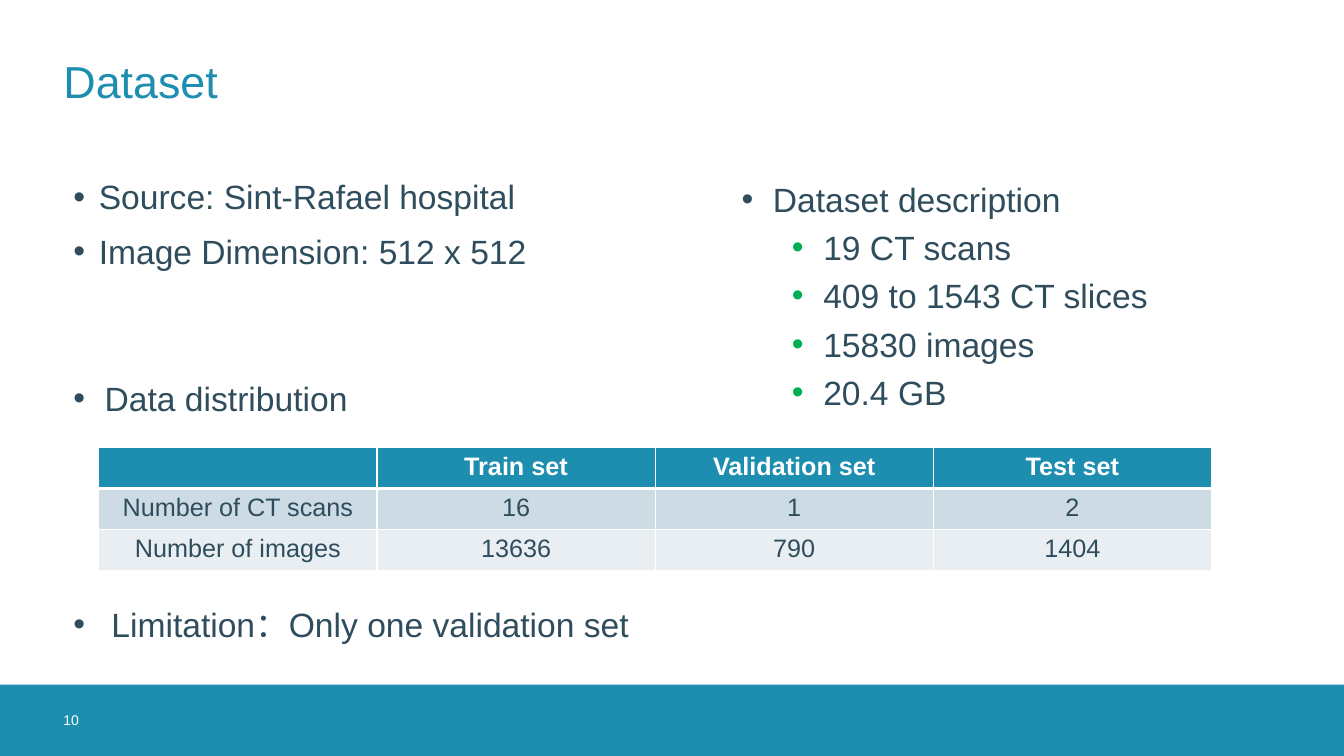
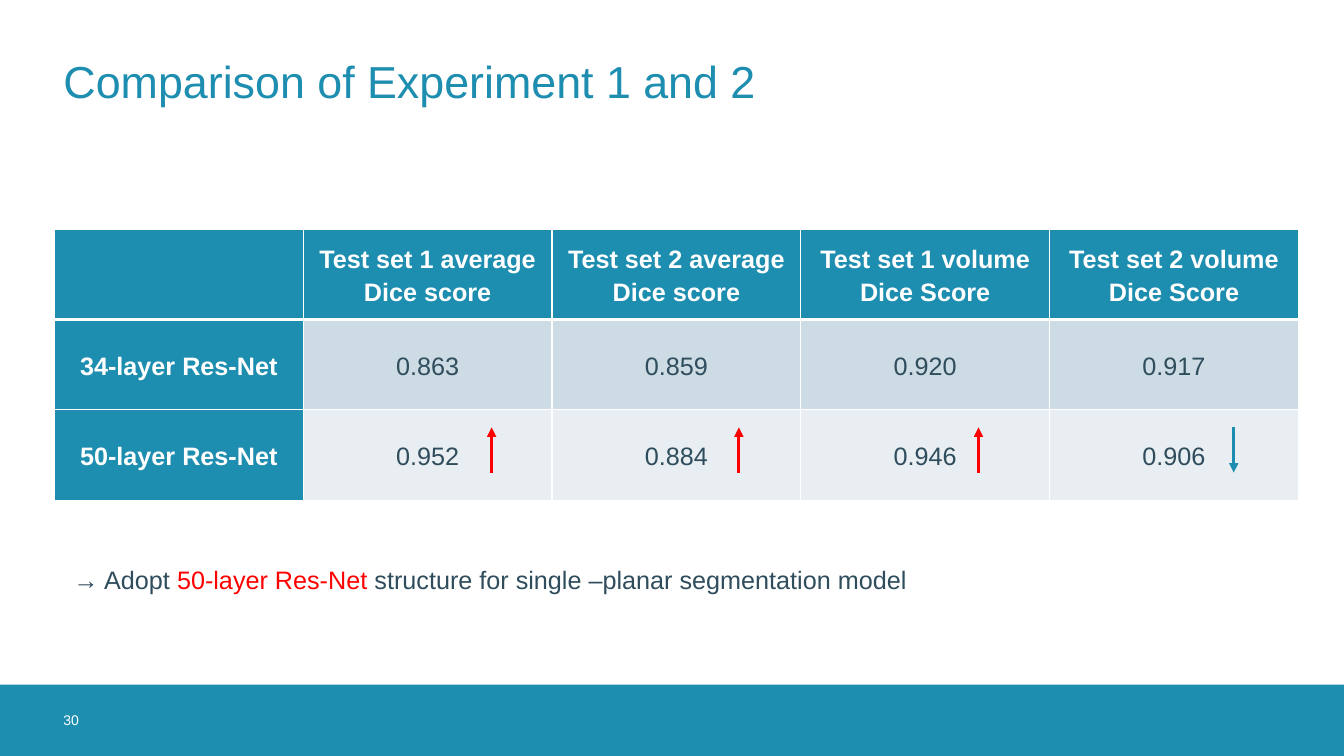
from dataclasses import dataclass

from lxml.etree import SubElement
from pptx import Presentation
from pptx.dml.color import RGBColor
from pptx.enum.shapes import MSO_CONNECTOR as Connector, MSO_SHAPE as Shape
from pptx.enum.text import MSO_ANCHOR as Anchor, MSO_AUTO_SIZE as AutoSize, PP_ALIGN as Align
from pptx.oxml.ns import qn
from pptx.util import Cm, Pt


@dataclass(frozen=True)
class Theme:
    font: str = "Arial"
    teal: str = "1D8DB0"
    ink: str = "2F4D5D"
    white: str = "FFFFFF"
    red: str = "FF0000"
    green: str = "00B050"
    stripes: tuple = ("CDDBE4", "E8EEF2")
    title_size: int = 32
    body_size: int = 24
    small_size: int = 18
    number_size: int = 10
    width: float = 33.87
    height: float = 19.05
    margin: float = 1.6
    band_height: float = 1.8


THEME = Theme()


def color(value):
    return RGBColor.from_string(value)


def add_bullet(paragraph, indent, hang, bullet_color):
    properties = paragraph._p.get_or_add_pPr()
    properties.set("marL", str(Cm(indent)))
    properties.set("indent", str(-Cm(hang)))
    bullet_fill = SubElement(properties, qn("a:buClr"))
    SubElement(bullet_fill, qn("a:srgbClr"), val=bullet_color)
    SubElement(properties, qn("a:buFont"), typeface=THEME.font)
    SubElement(properties, qn("a:buChar"), char="•")


def write(frame, text, size=THEME.body_size, fill=THEME.ink, bold=False, align=Align.LEFT,
          spacing=1.0, before=0, after=0, indent=0, hang=0, level=0, bullet_color=THEME.ink):
    paragraph = frame.add_paragraph() if frame.text else frame.paragraphs[0]
    paragraph.alignment = align
    paragraph.level = level
    paragraph.line_spacing = spacing
    paragraph.space_before = Pt(before)
    paragraph.space_after = Pt(after)
    if hang:
        add_bullet(paragraph, indent, hang, bullet_color)
    runs = [(text, fill)] if isinstance(text, str) else text
    for run_text, run_fill in runs:
        run = paragraph.add_run()
        run.text = run_text
        run.font.name = THEME.font
        run.font.size = Pt(size)
        run.font.bold = bold
        run.font.color.rgb = color(run_fill)


def set_margins(frame, margin):
    frame.margin_left = frame.margin_right = Cm(margin)
    frame.margin_top = frame.margin_bottom = Cm(margin)


def add_text_box(slide, left, top, width, height):
    frame = slide.shapes.add_textbox(Cm(left), Cm(top), Cm(width), Cm(height)).text_frame
    frame.word_wrap = True
    return frame


def add_title(slide, text):
    title = slide.shapes.title
    title.left, title.top = Cm(THEME.margin), Cm(0.84)
    title.width, title.height = Cm(30.66), Cm(2.36)
    frame = title.text_frame
    frame.auto_size = AutoSize.NONE
    frame.vertical_anchor = Anchor.MIDDLE
    set_margins(frame, 0)
    write(frame, text, size=THEME.title_size, fill=THEME.teal)


def add_footer(slide, number):
    top = THEME.height - THEME.band_height
    band = slide.shapes.add_shape(
        Shape.RECTANGLE, 0, Cm(top), Cm(THEME.width), Cm(THEME.band_height))
    band.shadow.inherit = False
    band.fill.solid()
    band.fill.fore_color.rgb = color(THEME.teal)
    band.line.fill.background()
    frame = add_text_box(slide, THEME.margin, top, THEME.band_height, THEME.band_height)
    frame.vertical_anchor = Anchor.MIDDLE
    set_margins(frame, 0)
    write(frame, number, size=THEME.number_size, fill=THEME.white)


def add_content_slide(presentation, title, number):
    slide = presentation.slides.add_slide(presentation.slide_layouts[5])
    add_footer(slide, number)
    add_title(slide, title)
    return slide


def set_borders(cell, top, bottom):
    properties = cell._tc.get_or_add_tcPr()
    widths = {"L": 1, "R": 1, "T": top, "B": bottom}
    for position, (side, width) in enumerate(widths.items()):
        line = SubElement(properties, qn(f"a:ln{side}"), w=str(Pt(width)))
        fill = SubElement(line, qn("a:solidFill"))
        SubElement(fill, qn("a:srgbClr"), val=THEME.white)
        properties.insert(position, line)


def add_data_table(slide, left, top, width, height, rows, header_column=False,
                   anchor=Anchor.TOP, side_margin=0.25, edge_margin=0.13, **paragraph_format):
    row_count, column_count = len(rows), len(rows[0])
    table = slide.shapes.add_table(
        row_count, column_count, Cm(left), Cm(top), Cm(width), Cm(height)).table
    for column in table.columns:
        column.width = Cm(width / column_count)
    for row_index, values in enumerate(rows):
        table.rows[row_index].height = Cm(height / row_count)
        for column_index, value in enumerate(values):
            cell = table.cell(row_index, column_index)
            is_header = row_index == 0 or (header_column and column_index == 0)
            cell.fill.solid()
            cell.fill.fore_color.rgb = color(
                THEME.teal if is_header else THEME.stripes[(row_index - 1) % 2])
            set_borders(cell, 3 if row_index == 1 else 1, 3 if row_index == 0 else 1)
            cell.vertical_anchor = anchor
            cell.margin_left = cell.margin_right = Cm(side_margin)
            cell.margin_top = cell.margin_bottom = Cm(edge_margin)
            if value:
                write(cell.text_frame, value, size=THEME.small_size, bold=is_header,
                      fill=THEME.white if is_header else THEME.ink,
                      align=Align.CENTER, **paragraph_format)


def add_trend_arrow(slide, x, top, height, rising):
    start, end = (top + height, top) if rising else (top, top + height)
    arrow = slide.shapes.add_connector(
        Connector.STRAIGHT, Cm(x), Cm(start), Cm(x), Cm(end))
    arrow.line.color.rgb = color(THEME.red if rising else THEME.teal)
    arrow.line.width = Pt(2.25)
    SubElement(arrow.line._get_or_add_ln(), qn("a:tailEnd"), type="triangle")
    SubElement(arrow._element.spPr, qn("a:effectLst"))


def add_source_list(slide, left, top, width, height):
    frame = add_text_box(slide, left, top, width, height)
    for index, text in enumerate(("Source: Sint-Rafael hospital", "Image Dimension: 512 x 512")):
        write(frame, text, indent=0.64, hang=0.64, before=10 if index else 0)


def add_description_list(slide, left, top, width, height):
    frame = add_text_box(slide, left, top, width, height)
    write(frame, "Dataset description", indent=0.79, hang=0.79, spacing=1.2)
    for text in ("19 CT scans", "409 to 1543 CT slices", "15830 images", "20.4 GB"):
        write(frame, text, indent=2.06, hang=0.79, level=1, spacing=1.2,
              bullet_color=THEME.green)


def build_dataset_slide(presentation):
    slide = add_content_slide(presentation, "Dataset", "10")
    add_source_list(slide, THEME.margin, 4.32, 24.33, 3.66)
    add_description_list(slide, 18.44, 4.17, 13.82, 7.52)
    distribution = add_text_box(slide, THEME.margin, 9.2, 13.82, 1.37)
    write(distribution, "Data distribution", indent=0.79, hang=0.79, spacing=1.2)
    add_data_table(slide, 2.49, 11.28, 28.04, 3.09, (
        ("", "Train set", "Validation set", "Test set"),
        ("Number of CT scans", "16", "1", "2"),
        ("Number of images", "13636", "790", "1404"),
    ))
    limitation = add_text_box(slide, THEME.margin, 15.09, 17.73, 1.27)
    write(limitation, "Limitation：Only one validation set", indent=0.96, hang=0.96)


def add_score_comparison(slide, left, top, width, height):
    rows = (
        ("", "Test set 1 average Dice score", "Test set 2 average Dice score",
         "Test set 1 volume Dice Score", "Test set 2 volume Dice Score"),
        ("34-layer Res-Net", "0.863", "0.859", "0.920", "0.917"),
        ("50-layer Res-Net", "0.952", "0.884", "0.946", "0.906"),
    )
    add_data_table(slide, left, top, width, height, rows, header_column=True,
                   anchor=Anchor.MIDDLE, side_margin=0.18, edge_margin=0,
                   spacing=1.15, after=6)
    column_width = width / len(rows[0])
    row_height = height / len(rows)
    arrow_top = top + 2 * row_height + 0.44
    arrow_offsets = (4.75, 4.71, 4.48, 4.64)
    scores = zip(rows[1][1:], rows[2][1:], arrow_offsets)
    for column, (before, after, offset) in enumerate(scores, start=1):
        add_trend_arrow(slide, left + column * column_width + offset, arrow_top, 1.14,
                        rising=float(after) > float(before))


def build_comparison_slide(presentation):
    slide = add_content_slide(presentation, "Comparison of Experiment 1 and 2", "30")
    add_score_comparison(slide, 1.37, 5.77, 31.35, 6.84)
    conclusion = add_text_box(slide, THEME.margin, 14.1, 23.5, 1.02)
    write(conclusion, (
        ("→ Adopt ", THEME.ink),
        ("50-layer Res-Net ", THEME.red),
        ("structure for single –planar segmentation model", THEME.ink),
    ), size=THEME.small_size)


def main():
    presentation = Presentation()
    presentation.slide_width = Cm(THEME.width)
    presentation.slide_height = Cm(THEME.height)
    build_dataset_slide(presentation)
    build_comparison_slide(presentation)
    presentation.save("out.pptx")


if __name__ == "__main__":
    main()
